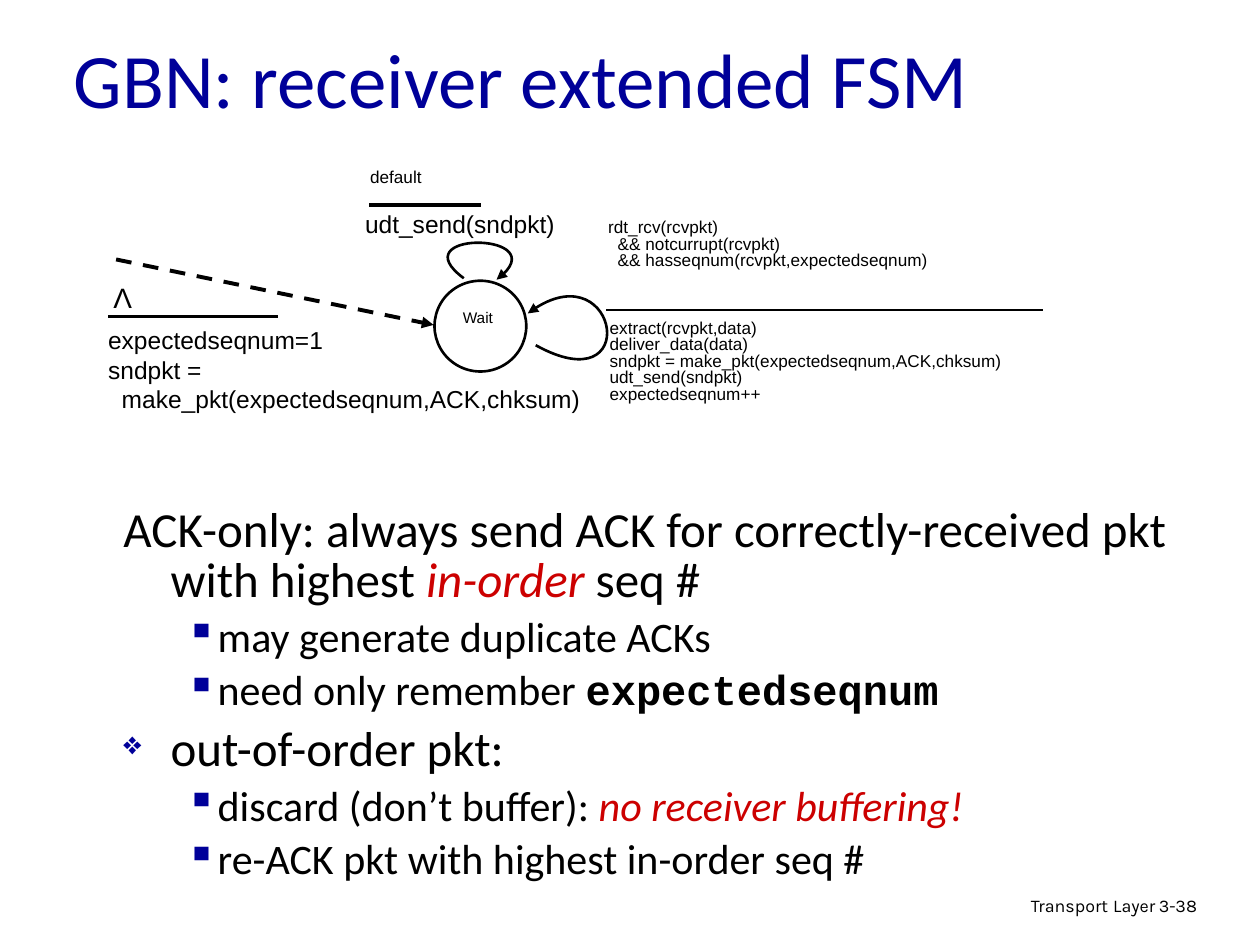
from lxml.etree import SubElement
from pptx import Presentation
from pptx.dml.color import RGBColor
from pptx.enum.dml import MSO_LINE
from pptx.enum.shapes import MSO_CONNECTOR, MSO_SHAPE
from pptx.enum.text import MSO_ANCHOR, MSO_AUTO_SIZE, PP_ALIGN
from pptx.oxml.ns import qn
from pptx.util import Cm, Pt

COLORS = {"ink": "000000", "blue": "000099", "red": "CC0000", "paper": "FFFFFF"}
PLAIN = {"name": "Arial", "size": 14}
SMALL = {"name": "Arial", "size": 9.8}
FOOT = {"name": "Karla", "size": 10.2}
STRESS = {"color": "red", "italic": True}
CODE = {"name": "Courier New", "bold": True}
LEVELS = [
    {"size": 28, "left": 0.95, "hang": -0.95, "before": 7, "mark": "❖", "scale": 65},
    {"size": 24, "left": 1.9, "hang": -0.64, "before": 6, "mark": "▪", "scale": 100},
]
BODY = [
    (0, False, [("ACK-only: always send ACK for correctly-received pkt with highest ", {}),
                ("in-order", STRESS), (" seq #", {})]),
    (1, True, [("may generate duplicate ACKs", {})]),
    (1, True, [("need only remember ", {}), ("expectedseqnum", CODE)]),
    (0, True, [("out-of-order pkt:", {})]),
    (1, True, [("discard (don’t buffer): ", {}), ("no receiver buffering!", STRESS)]),
    (1, True, [("re-ACK pkt with highest in-order seq #", {})]),
]


def tint(name):
    return RGBColor.from_string(COLORS[name])


def add_run(para, text, style):
    run = para.add_run()
    run.text = text
    for key, value in style.items():
        if key == "color":
            continue
        setattr(run.font, key, Pt(value) if key == "size" else value)
    run.font.color.rgb = tint(style.get("color", "ink"))


def add_box(slide, place, **form):
    frame = slide.shapes.add_textbox(*map(Cm, place)).text_frame
    for key, value in {"word_wrap": True, **form}.items():
        setattr(frame, key, value)
    return frame


def add_text(slide, place, lines, style, form=None, **frame):
    box = add_box(slide, place, **frame)
    for i, line in enumerate(lines):
        para = box.add_paragraph() if i else box.paragraphs[0]
        for key, value in (form or {}).items():
            setattr(para, key, value)
        for text, extra in [(line, {})] if isinstance(line, str) else line:
            add_run(para, text, {**style, **extra})


def add_mark(props, level):
    color = SubElement(props, qn("a:buClr"))
    SubElement(color, qn("a:srgbClr"), val=COLORS["blue"])
    SubElement(props, qn("a:buSzPct"), val=str(level["scale"] * 1000))
    SubElement(props, qn("a:buChar"), char=level["mark"])


def add_body(slide, place):
    box = add_box(slide, place)
    for i, (depth, marked, runs) in enumerate(BODY):
        level = LEVELS[depth]
        para = box.add_paragraph() if i else box.paragraphs[0]
        props = para._p.get_or_add_pPr()
        props.set("marL", str(Cm(level["left"])))
        props.set("indent", str(Cm(level["hang"])))
        if marked:
            add_mark(props, level)
        form = {"level": depth, "line_spacing": 0.85,
                "space_before": Pt(level["before"] if i else 0)}
        for key, value in form.items():
            setattr(para, key, value)
        for text, style in runs:
            add_run(para, text, {"name": "Calibri", "size": level["size"], **style})


def draw_line(shape, width, arrow=False, dash=None):
    line = shape.line
    line.color.rgb = tint("ink")
    line.width = Pt(width)
    if dash:
        line.dash_style = dash
    if arrow:
        SubElement(line._get_or_add_ln(), qn("a:tailEnd"), type="triangle")


def add_rule(slide, ends, width, **look):
    rule = slide.shapes.add_connector(MSO_CONNECTOR.STRAIGHT, *map(Cm, ends))
    draw_line(rule, width, **look)
    SubElement(rule._element.spPr, qn("a:effectLst"))


def add_curve(slide, points):
    start, *rest = [(Cm(x), Cm(y)) for x, y in points]
    pen = slide.shapes.build_freeform(*start)
    pen.add_line_segments(rest, close=False)
    shape = pen.convert_to_shape()
    shape.shadow.inherit = False
    shape.fill.background()
    track = next(shape._element.iter(qn("a:path")))
    steps = track.findall(qn("a:lnTo"))
    bend = SubElement(track, qn("a:cubicBezTo"))
    for step in steps:
        bend.append(step[0])
        track.remove(step)
    draw_line(shape, 1.5, arrow=True)


def add_state(slide):
    ring = slide.shapes.add_shape(MSO_SHAPE.OVAL, *map(Cm, (8.76, 5.66, 1.85, 1.83)))
    ring.shadow.inherit = False
    ring.fill.solid()
    ring.fill.fore_color.rgb = tint("paper")
    draw_line(ring, 1.5)
    add_text(slide, (8.53, 6.15, 2.21, 0.66), ["Wait"], {"name": "Arial", "size": 8.8},
             {"alignment": PP_ALIGN.CENTER, "line_spacing": 0.8})


def add_machine(slide):
    tight = {"line_spacing": 0.8}
    add_state(slide)
    add_rule(slide, (2.34, 5.23, 8.74, 6.55), 2.25, arrow=True, dash=MSO_LINE.DASH)
    add_text(slide, (7.11, 4.09, 4.5, 0.86), ["udt_send(sndpkt)"], PLAIN)
    add_text(slide, (7.21, 3.3, 2.01, 0.69), ["default"], SMALL, tight)
    add_rule(slide, (7.44, 4.14, 9.7, 4.14), 2.25)
    add_curve(slide, [(10.8, 6.96), (12.95, 8.15), (12.45, 4.95), (10.64, 6.32)])
    add_text(slide, (12.01, 4.32, 9.91, 1.57),
             ["rdt_rcv(rcvpkt)", "  && notcurrupt(rcvpkt)",
              "  && hasseqnum(rcvpkt,expectedseqnum)"], SMALL, tight)
    add_rule(slide, (12.22, 6.25, 21.03, 6.25), 1.5)
    add_text(slide, (12.04, 6.35, 11.99, 2.39),
             ["extract(rcvpkt,data)", "deliver_data(data)",
              "sndpkt = make_pkt(expectedseqnum,ACK,chksum)",
              "udt_send(sndpkt)", "expectedseqnum++"], SMALL, tight)
    add_curve(slide, [(9.35, 5.61), (8.08, 4.67), (11.3, 4.67), (10.01, 5.64)])
    add_rule(slide, (2.18, 6.38, 5.61, 6.38), 2.25)
    add_text(slide, (1.93, 6.43, 10.11, 2.72),
             ["expectedseqnum=1", "sndpkt =",
              "  make_pkt(expectedseqnum,ACK,chksum)"], PLAIN)
    add_text(slide, (2.03, 5.54, 0.89, 0.94), ["Λ"], {"name": "Arial", "size": 16},
             {"alignment": PP_ALIGN.CENTER}, word_wrap=False,
             auto_size=MSO_AUTO_SIZE.SHAPE_TO_FIT_TEXT)


def add_foot(slide):
    label = [("Transport", {}), (" ", {"size": 11.9}), ("Layer", {})]
    add_text(slide, (15.49, 17.91, 8.05, 0.79), [label], FOOT,
             {"alignment": PP_ALIGN.RIGHT, "line_spacing": 0.9})
    add_text(slide, (23.11, 17.96, 1.88, 0.76), ["3-38"], FOOT, {"line_spacing": 0.9})


def main():
    deck = Presentation()
    deck.slide_width, deck.slide_height = Cm(25.4), Cm(19.05)
    slide = deck.slides.add_slide(deck.slide_layouts[6])
    add_foot(slide)
    add_body(slide, (2.24, 10.11, 22.63, 7.92))
    add_machine(slide)
    add_text(slide, (1.24, 0.58, 21.59, 1.96), ["GBN: receiver extended FSM"],
             {"name": "Calibri", "size": 44, "color": "blue"},
             vertical_anchor=MSO_ANCHOR.MIDDLE)
    deck.save("out.pptx")


if __name__ == "__main__":
    main()
